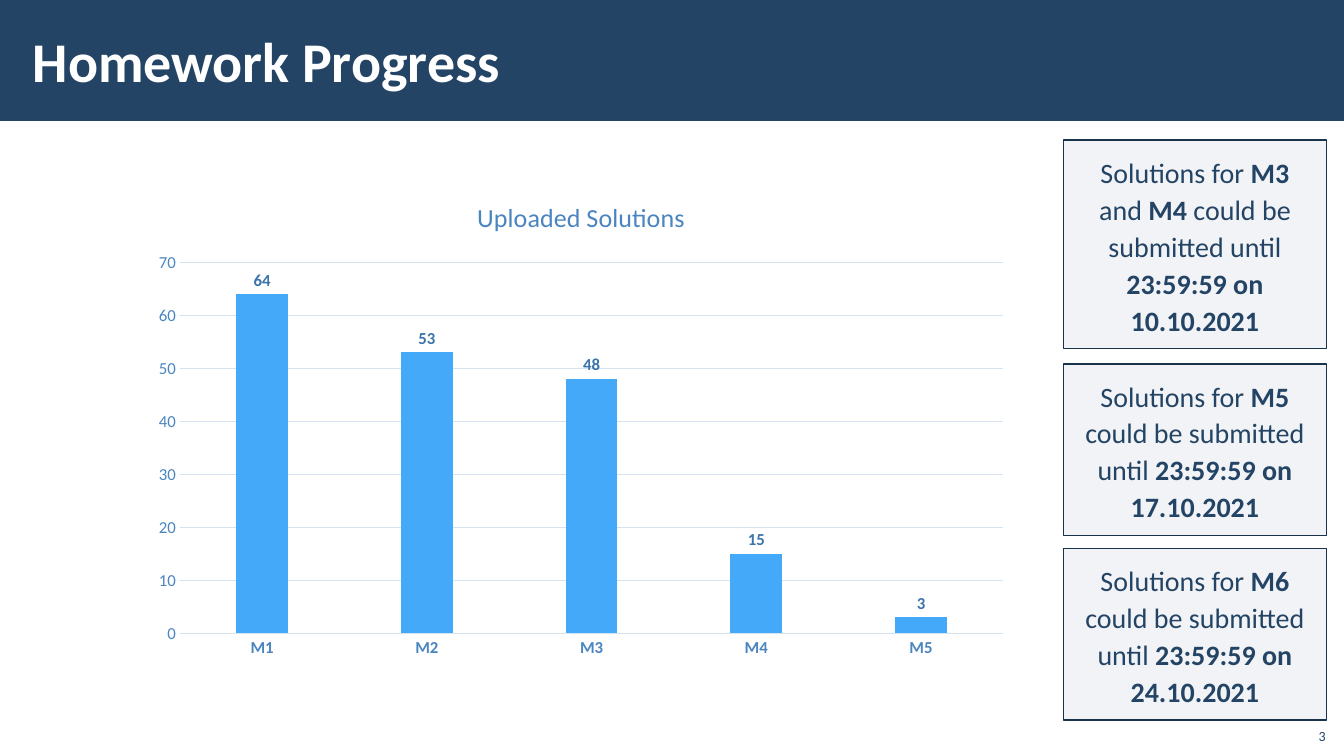
from dataclasses import dataclass

from lxml import etree
from pptx import Presentation
from pptx.chart import data as chart_data
from pptx.dml.color import RGBColor
from pptx.enum import chart as charts, shapes, text
from pptx.oxml.ns import qn
from pptx.util import Cm, Pt


@dataclass(frozen=True)
class Theme:
    font: str = "Calibri"
    navy: str = "234465"
    white: str = "FFFFFF"
    card_fill: str = "ADB4C3"
    card_opacity: int = 15
    card_line: str = "1A334C"
    bar: str = "44A9F8"
    axis_text: str = "4A85C0"
    label_text: str = "3B73AA"
    grid: str = "D5E3F1"
    title_size: float = 40
    card_size: float = 20
    chart_title_size: float = 18.6
    chart_size: float = 12
    number_size: float = 10


@dataclass(frozen=True)
class Deadline:
    """A note on the right; lengths in centimetres."""
    top: float
    height: float
    tasks: tuple[str, ...]
    opening: str
    date: str


THEME = Theme()
SOLUTIONS = {"M1": 64, "M2": 53, "M3": 48, "M4": 15, "M5": 3}
DEADLINES = (
    Deadline(3.53, 5.26, ("M3", "M4"), "Solutions for ", "10.10.2021"),
    Deadline(9.17, 4.32, ("M5",), "Solutions for ", "17.10.2021"),
    Deadline(13.82, 4.32, ("M6",), "Solutions for ", "24.10.2021"),
)


def style_font(font, size: float, color: str, bold: bool = False) -> None:
    font.name = THEME.font
    font.size = Pt(size)
    font.bold = bold
    font.color.rgb = RGBColor.from_string(color)


def add_span(para, words: str, size: float, color: str, bold: bool = False) -> None:
    span = para.add_run()
    span.text = words
    style_font(span.font, size, color, bold)


def set_margins(frame, side: float, edge: float) -> None:
    frame.margin_left = frame.margin_right = Cm(side)
    frame.margin_top = frame.margin_bottom = Cm(edge)


def style_line(line, color: str, width: float) -> None:
    line.color.rgb = RGBColor.from_string(color)
    line.width = Pt(width)


def add_panel(page, left: float, top: float, width: float, height: float, color: str):
    panel = page.shapes.add_shape(
        shapes.MSO_SHAPE.RECTANGLE, Cm(left), Cm(top), Cm(width), Cm(height))
    panel.shadow.inherit = False
    panel.fill.solid()
    panel.fill.fore_color.rgb = RGBColor.from_string(color)
    panel.line.fill.background()
    return panel


def add_header(page, words: str) -> None:
    title = page.shapes.title
    band = add_panel(page, 0, 0, 33.88, 3.05, THEME.navy)
    title.element.addprevious(band.element)  # band lies behind the title
    title.left, title.top, title.width, title.height = Cm(0.53), Cm(0.28), Cm(27), Cm(2.46)
    frame = title.text_frame
    set_margins(frame, 0.3, 0.1)
    frame.vertical_anchor = text.MSO_ANCHOR.MIDDLE
    para = frame.paragraphs[0]
    para.alignment = text.PP_ALIGN.LEFT
    add_span(para, words, THEME.title_size, THEME.white, True)


def add_solutions_chart(page) -> None:
    name = "Uploaded Solutions"
    values = chart_data.CategoryChartData()
    values.categories = list(SOLUTIONS)
    values.add_series(name, list(SOLUTIONS.values()))
    chart = page.shapes.add_chart(
        charts.XL_CHART_TYPE.COLUMN_CLUSTERED,
        Cm(3.56), Cm(4.52), Cm(22.17), Cm(12.29), values).chart
    style_font(chart.font, THEME.number_size, THEME.navy)
    chart.has_legend = False
    chart.has_title = True
    add_span(chart.chart_title.text_frame.paragraphs[0], name,
             THEME.chart_title_size, THEME.axis_text)
    chart.chart_title.include_in_layout = False

    # Axes
    for axis, bold in ((chart.category_axis, True), (chart.value_axis, False)):
        axis.major_tick_mark = axis.minor_tick_mark = charts.XL_TICK_MARK.NONE
        style_font(axis.tick_labels.font, THEME.chart_size, THEME.axis_text, bold)
    style_line(chart.category_axis.format.line, THEME.grid, 0.75)
    scale = chart.value_axis
    scale.minimum_scale, scale.maximum_scale, scale.major_unit = 0, 70, 10
    scale.format.line.fill.background()
    style_line(scale.major_gridlines.format.line, THEME.grid, 0.75)

    # Columns and their values
    plot = chart.plots[0]
    plot.gap_width, plot.overlap, plot.vary_by_categories = 219, -27, False
    fill = plot.series[0].format.fill
    fill.solid()
    fill.fore_color.rgb = RGBColor.from_string(THEME.bar)
    labels = plot.series[0].data_labels
    labels.show_value = True
    labels.position = charts.XL_LABEL_POSITION.OUTSIDE_END
    style_font(labels.font, THEME.chart_size, THEME.label_text, True)


def add_deadline(page, note: Deadline) -> None:
    card = add_panel(page, 26.8, note.top, 6.63, note.height, THEME.card_fill)
    color = card.element.spPr.find(qn("a:solidFill"))[0]
    etree.SubElement(color, qn("a:alpha"), val=str(THEME.card_opacity * 1000))
    style_line(card.line, THEME.card_line, 1)
    frame = card.text_frame
    frame.word_wrap = True
    frame.auto_size = text.MSO_AUTO_SIZE.SHAPE_TO_FIT_TEXT
    frame.vertical_anchor = text.MSO_ANCHOR.MIDDLE
    set_margins(frame, 0.4, 0.3)
    para = frame.paragraphs[0]
    para.alignment = text.PP_ALIGN.CENTER
    para.line_spacing = 1.1
    for index, task in enumerate(note.tasks):
        add_span(para, " and " if index else note.opening, THEME.card_size, THEME.navy)
        add_span(para, task, THEME.card_size, THEME.navy, True)
    add_span(para, " could be submitted until ", THEME.card_size, THEME.navy)
    add_span(para, f"23:59:59 on {note.date}", THEME.card_size, THEME.navy, True)


def add_page_number(page, number: str) -> None:
    box = page.shapes.add_textbox(Cm(32.64), Cm(18.08), Cm(1.02), Cm(0.81))
    frame = box.text_frame
    frame.word_wrap = True
    frame.vertical_anchor = text.MSO_ANCHOR.BOTTOM
    para = frame.paragraphs[0]
    para.alignment = text.PP_ALIGN.RIGHT
    add_span(para, number, THEME.number_size, THEME.navy)


def main() -> None:
    deck = Presentation()
    deck.slide_width, deck.slide_height = Cm(33.87), Cm(19.05)
    page = deck.slides.add_slide(deck.slide_layouts.get_by_name("Title Only"))
    add_header(page, "Homework Progress")
    add_page_number(page, "3")
    add_solutions_chart(page)
    for note in DEADLINES:
        add_deadline(page, note)
    deck.save("out.pptx")


if __name__ == "__main__":
    main()
